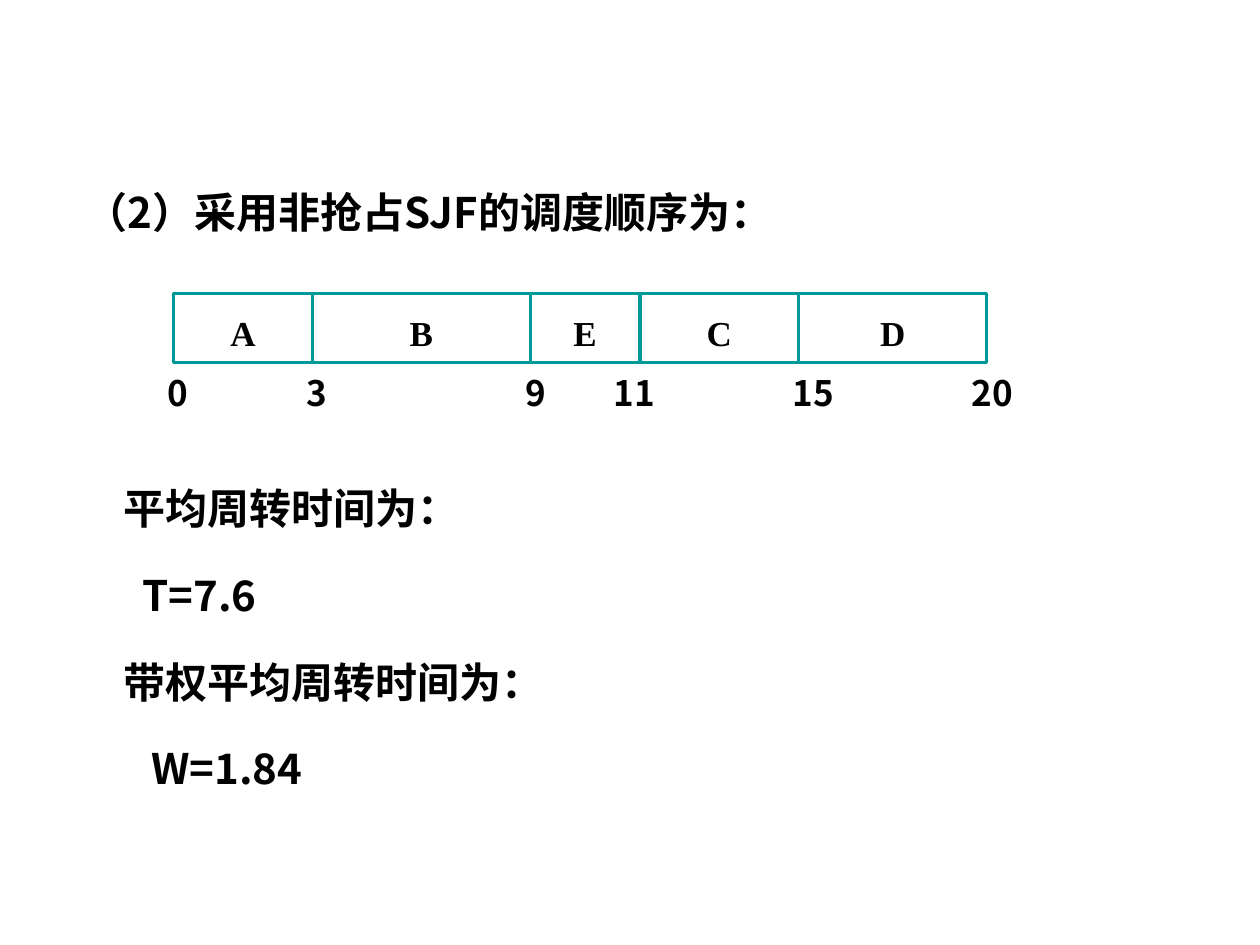
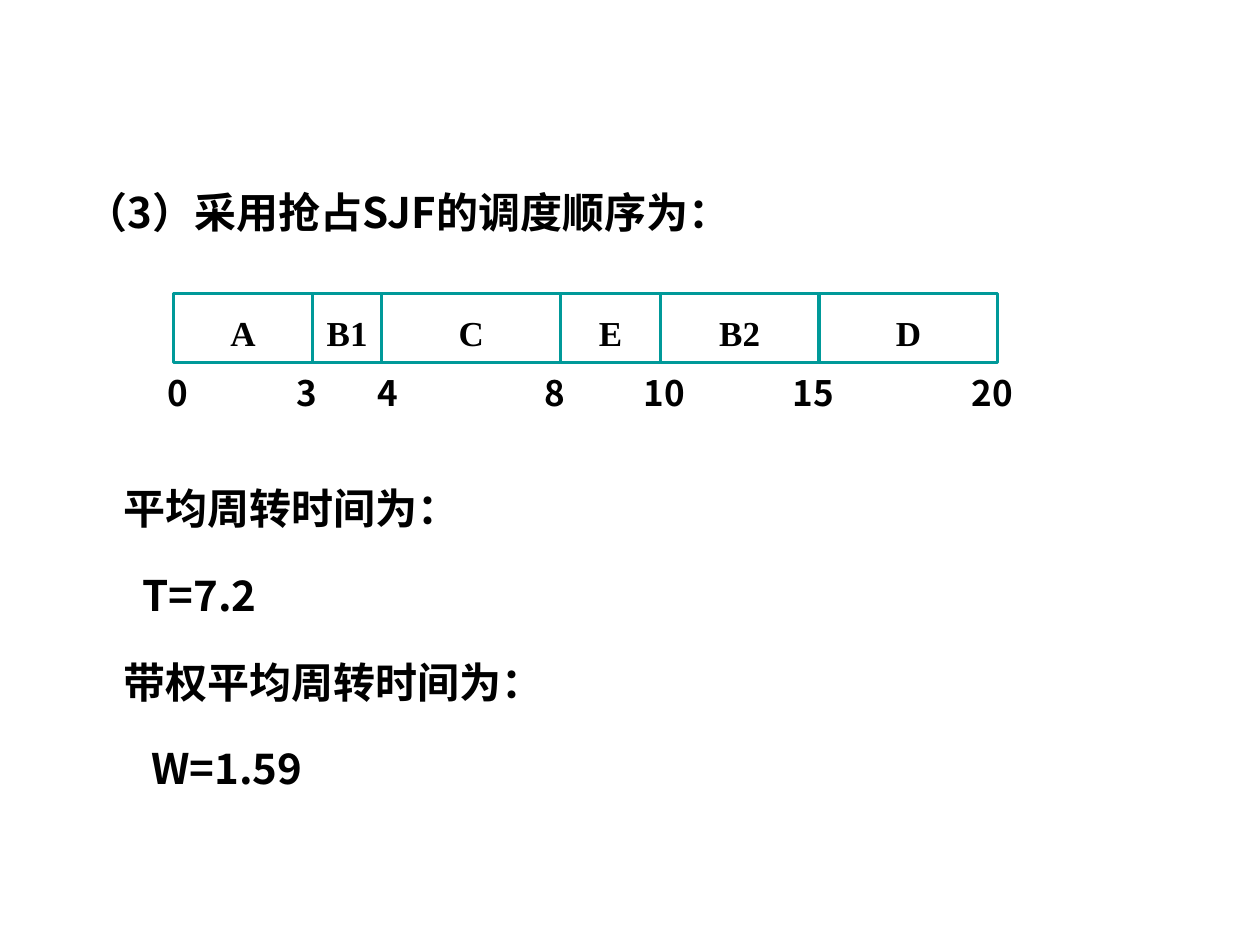
from dataclasses import dataclass

from lxml import etree
from pptx import Presentation
from pptx.dml.color import RGBColor
from pptx.enum.shapes import MSO_SHAPE as Shape
from pptx.enum.text import MSO_ANCHOR as Anchor, MSO_AUTO_SIZE as AutoSize, PP_ALIGN as Align
from pptx.oxml.ns import qn
from pptx.util import Inches, Pt

COLORS = {"text": "000000", "bar": "009999"}
SANS, SERIF = "Noto Sans CJK SC", "Times New Roman"
TITLE_BOX = (0.43, 1.23, 8.11, 0.7)
TIMELINE_BOX = (1.38, 2.33, 0.55)  # left, top, bar height
RESULTS_BOX = (0.98, 3.75, 7.64, 2.54)
TICK_WIDTH, TICK_HEIGHT = 0.55, 0.4


@dataclass
class Schedule:
    """Jobs map to bar widths; ticks map times to label lefts from the bar's left."""
    heading: str
    jobs: dict
    ticks: dict
    turnaround: str
    weighted: str


SCHEDULES = [
    Schedule("（2）采用非抢占SJF的调度顺序为：",
             {"A": 1.1, "B": 1.73, "E": 0.87, "C": 1.26, "D": 1.49},
             {0: -0.24, 3: 0.86, 9: 2.6, 11: 3.38, 15: 4.8, 20: 6.22},
             "T=7.6", "W=1.84"),
    Schedule("（3）采用抢占SJF的调度顺序为：",
             {"A": 1.1, "B1": 0.55, "C": 1.42, "E": 0.79, "B2": 1.26, "D": 1.42},
             {0: -0.24, 3: 0.78, 4: 1.42, 8: 2.75, 10: 3.62, 15: 4.8, 20: 6.22},
             "T=7.2", "W=1.59"),
]


def place(shape, box):
    shape.left, shape.top, shape.width, shape.height = map(Inches, box)


def set_frame(frame, margins=(0, 0), anchor=Anchor.TOP, wrap=True):
    frame.auto_size = AutoSize.NONE
    frame.word_wrap = wrap
    frame.vertical_anchor = anchor
    frame.margin_left = frame.margin_right = Inches(margins[0])
    frame.margin_top = frame.margin_bottom = Inches(margins[1])


def write(paragraph, text, size, font=SANS, align=Align.LEFT, spacing=1.2, before=0, indent=0):
    paragraph.alignment = align
    paragraph.line_spacing = spacing
    paragraph.space_before = Pt(before)
    paragraph.space_after = Pt(0)
    properties = paragraph._p.get_or_add_pPr()
    properties.set("marL", str(Inches(indent)))
    properties.set("indent", "0")
    etree.SubElement(properties, qn("a:buNone"))
    run = paragraph.add_run()
    run.text = text
    run.font.size = Pt(size)
    run.font.bold = True
    run.font.color.rgb = RGBColor.from_string(COLORS["text"])
    run.font.name = font
    etree.SubElement(run._r.get_or_add_rPr(), qn("a:ea"), typeface=font)


def add_heading(slide, text, box):
    title = slide.shapes.title
    place(title, box)
    set_frame(title.text_frame, margins=(0.1, 0.05))
    write(title.text_frame.paragraphs[0], text, 24, spacing=1.5, indent=0.15)


def add_job(slide, name, box):
    bar = slide.shapes.add_shape(Shape.RECTANGLE, *map(Inches, box))
    bar.shadow.inherit = False
    bar.fill.background()
    bar.line.color.rgb = RGBColor.from_string(COLORS["bar"])
    bar.line.width = Pt(1.75)
    set_frame(bar.text_frame, margins=(0.1, 0.05), anchor=Anchor.MIDDLE, wrap=False)
    write(bar.text_frame.paragraphs[0], name, 20, font=SERIF, align=Align.CENTER)


def add_tick(slide, time, box):
    label = slide.shapes.add_textbox(*map(Inches, box))
    set_frame(label.text_frame)
    write(label.text_frame.paragraphs[0], str(time), 20, align=Align.CENTER)


def add_timeline(slide, schedule, box):
    left, top, height = box
    start = left
    for name, width in schedule.jobs.items():
        add_job(slide, name, (start, top, width, height))
        start += width
    for time, offset in schedule.ticks.items():
        add_tick(slide, time, (left + offset, top + height, TICK_WIDTH, TICK_HEIGHT))


def add_results(slide, schedule, box):
    body = slide.placeholders[1]
    place(body, box)
    frame = body.text_frame
    set_frame(frame)
    lines = [("平均周转时间为：", 0), (schedule.turnaround, 0.15),
             ("带权平均周转时间为：", 0), (schedule.weighted, 0.22)]
    for index, (text, indent) in enumerate(lines):
        paragraph = frame.add_paragraph() if index else frame.paragraphs[0]
        write(paragraph, text, 24, before=15 if index else 0, indent=indent)


def add_schedule_slide(deck, schedule):
    slide = deck.slides.add_slide(deck.slide_layouts[1])
    add_heading(slide, schedule.heading, TITLE_BOX)
    add_timeline(slide, schedule, TIMELINE_BOX)
    add_results(slide, schedule, RESULTS_BOX)


def main():
    deck = Presentation()
    deck.slide_width, deck.slide_height = Inches(10), Inches(7.5)
    for schedule in SCHEDULES:
        add_schedule_slide(deck, schedule)
    deck.save("out.pptx")


if __name__ == "__main__":
    main()
